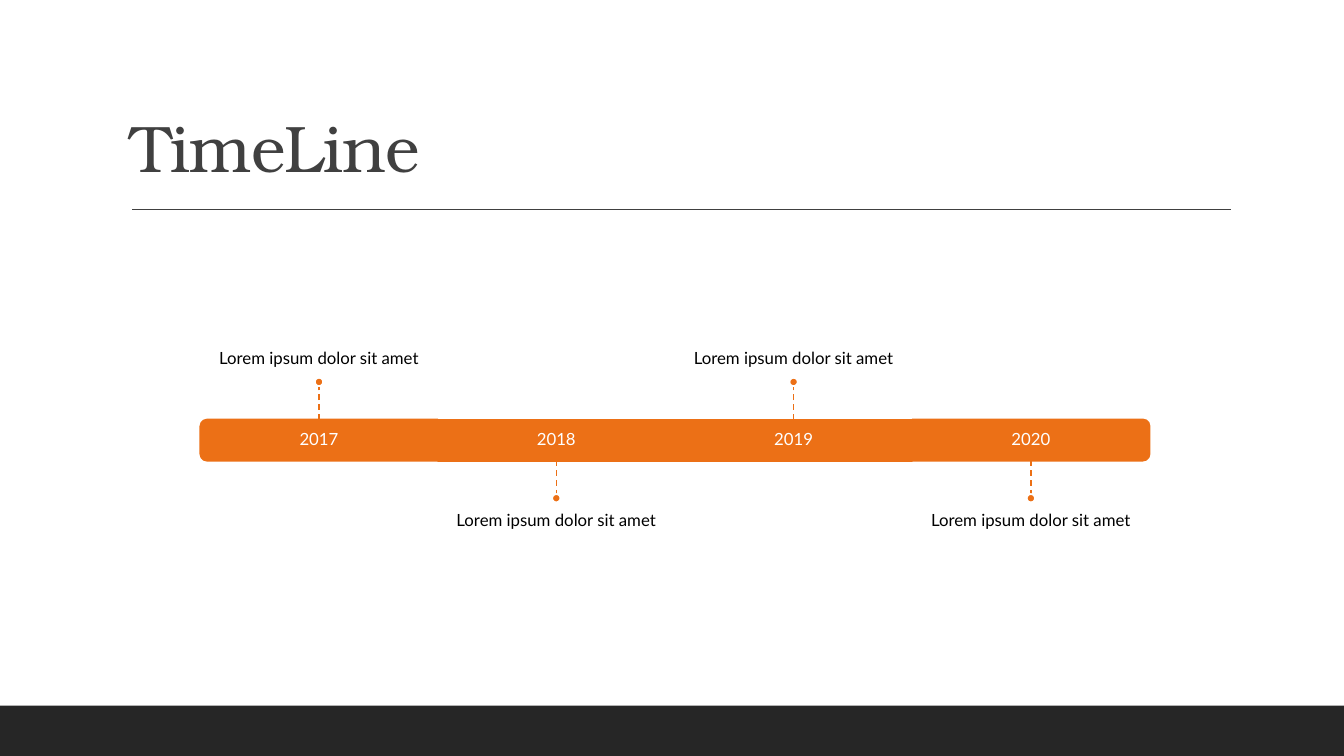
from lxml.etree import SubElement
from pptx import Presentation
from pptx.dml.color import RGBColor as Rgb
from pptx.enum.dml import MSO_LINE as Dash
from pptx.enum.shapes import MSO_CONNECTOR as Link, MSO_SHAPE as Form
from pptx.enum.text import MSO_ANCHOR as Anchor, PP_ALIGN as Align
from pptx.oxml.ns import qn
from pptx.util import Cm, Pt

TITLE = "TimeLine"
EVENTS = [
    ("2017", "Lorem ipsum dolor sit amet"),
    ("2018", "Lorem ipsum dolor sit amet"),
    ("2019", "Lorem ipsum dolor sit amet"),
    ("2020", "Lorem ipsum dolor sit amet"),
]
COLORS = {"accent": "EC7016", "dark": "262626", "gray": "404040",
          "white": "FFFFFF", "black": "000000"}
WIDE, HIGH = 33.87, 19.05
FIRST, STEP = 8.04, 5.98
TOP, BAR = 10.57, 1.04
STEM, DOT, GAP = 0.84, 0.21, 0.25
NOTE_W, NOTE_H = 9.98, 3.68


def tone(name):
    return Rgb.from_string(COLORS[name])


def add_form(slide, form, box, fill, edge=None, turn=0):
    shape = slide.shapes.add_shape(form, *map(Cm, box))
    shape.shadow.inherit = False
    shape.rotation = turn
    shape.fill.solid()
    shape.fill.fore_color.rgb = tone(fill)
    if edge:
        shape.line.color.rgb = tone(edge)
        shape.line.width = Pt(1.25)
    else:
        shape.line.fill.background()


def add_line(slide, start, end, color, dash=None):
    line = slide.shapes.add_connector(Link.STRAIGHT, *map(Cm, start + end))
    line.line.color.rgb = tone(color)
    line.line.width = Pt(1)
    if dash:
        line.line.dash_style = dash
    SubElement(line._element.spPr, qn("a:effectLst"))


def add_text(slide, text, box, anchor, pads, color, font="Lato", size=12,
             align=Align.CENTER):
    frame = slide.shapes.add_textbox(*map(Cm, box)).text_frame
    frame.word_wrap = True
    frame.vertical_anchor = anchor
    frame.margin_left, frame.margin_top, frame.margin_right, frame.margin_bottom = map(Cm, pads)
    frame.text = text
    para = frame.paragraphs[0]
    para.alignment = align
    para.line_spacing = 0.9
    run = para.runs[0]
    run.font.name = font
    run.font.size = Pt(size)
    run.font.color.rgb = tone(color)
    return run


def add_event(slide, num, year, note):
    mid = FIRST + num * STEP
    left = mid - STEP / 2
    if num in (0, len(EVENTS) - 1):
        box = (mid - BAR / 2, TOP + BAR / 2 - STEP / 2, BAR, STEP)
        add_form(slide, Form.ROUND_2_SAME_RECTANGLE, box, "accent", "accent",
                 90 if num else 270)
    else:
        add_form(slide, Form.RECTANGLE, (left, TOP, STEP, BAR), "accent", "accent")
    add_text(slide, year, (left, TOP, STEP, BAR), Anchor.MIDDLE, [GAP] * 4, "white")

    above = num % 2 == 0
    if above:
        base, tip = TOP, TOP - STEM
        dot = tip - DOT
        spot, anchor, pads = dot - NOTE_H, Anchor.BOTTOM, (0, 0, 0, GAP)
    else:
        base, tip = TOP + BAR, TOP + BAR + STEM
        dot = tip
        spot, anchor, pads = dot + DOT, Anchor.TOP, (0, GAP, 0, 0)
    add_text(slide, note, (mid - NOTE_W / 2, spot, NOTE_W, NOTE_H), anchor, pads, "black")
    add_line(slide, (mid, base), (mid, tip), "accent", Dash.DASH)
    add_form(slide, Form.OVAL, (mid - DOT / 2, dot, DOT, DOT), "accent", "white")


def main():
    """Build the timeline slide."""
    deck = Presentation()
    deck.slide_width, deck.slide_height = Cm(WIDE), Cm(HIGH)
    slide = deck.slides.add_slide(deck.slide_layouts[6])
    add_form(slide, Form.RECTANGLE, (0, 17.78, WIDE, 1.27), "dark")
    add_line(slide, (3.33, 5.28), (31.01, 5.28), "gray")
    head = add_text(slide, TITLE, (3.05, 0.79, 27.94, 4.04), Anchor.BOTTOM,
                    (0.25, 0.13, 0.25, 0.13), "gray", "TeX Gyre Bonum", 47, Align.LEFT)
    head._r.get_or_add_rPr().set("spc", "-50")
    for num, (year, note) in enumerate(EVENTS):
        add_event(slide, num, year, note)
    deck.save("out.pptx")


if __name__ == "__main__":
    main()
